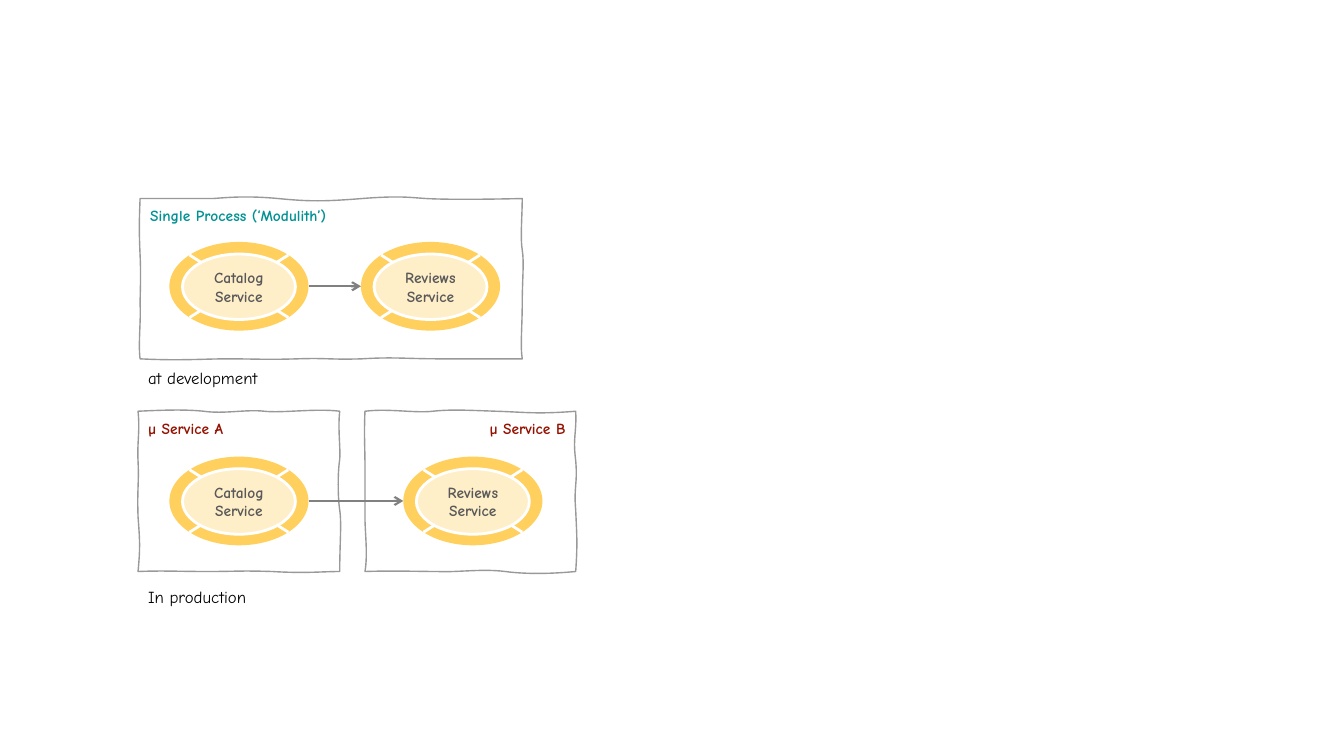
from lxml.etree import SubElement
from pptx import Presentation
from pptx.dml.color import RGBColor
from pptx.enum.shapes import MSO_CONNECTOR, MSO_SHAPE
from pptx.enum.text import MSO_ANCHOR, PP_ALIGN
from pptx.oxml.ns import qn
from pptx.util import Emu, Pt

SCALE = 9144
FACE = "Comic Neue"
OVAL_W, OVAL_H = 138, 88

MONO = [
    (0, 0), (26, 0), (57, 0), (72, 0), (87, -1), (105, -3), (137, 0),
    (168, 3), (182, 3), (220, 0), (258, -3), (267, -1), (284, 0),
    (301, 1), (335, 1), (379, 0), (379, 17), (377, 39), (379, 51),
    (381, 63), (379, 82), (379, 104), (379, 127), (377, 146), (379, 159),
    (342, 159), (337, 159), (300, 159), (262, 159), (252, 157), (220, 159),
    (188, 160), (186, 158), (156, 159), (125, 160), (112, 159), (87, 159),
    (63, 159), (40, 161), (0, 159), (-2, 145), (1, 118), (0, 106),
    (0, 94), (1, 78), (0, 56), (-1, 34), (-1, 24), (0, 0)]
LEFT = [
    (0, 0), (23, -1), (45, -2), (65, 0), (85, 3), (107, -2), (125, 0),
    (143, 2), (176, -3), (200, 0), (198, 18), (201, 37), (200, 48),
    (198, 60), (198, 85), (200, 98), (202, 111), (200, 132), (200, 159),
    (183, 159), (166, 161), (133, 159), (100, 158), (98, 159), (69, 159),
    (40, 159), (25, 158), (0, 159), (2, 137), (2, 131), (0, 105),
    (-1, 78), (1, 71), (0, 50), (-1, 29), (2, 21), (0, 0)]
RIGHT = [
    (0, 0), (23, -3), (49, 2), (67, 0), (86, -2), (100, -1), (131, 0),
    (161, 1), (170, 3), (209, 0), (210, 23), (206, 25), (209, 49),
    (211, 72), (207, 75), (209, 98), (210, 122), (211, 130), (209, 159),
    (188, 161), (162, 162), (139, 159), (116, 156), (91, 160), (72, 159),
    (52, 159), (28, 158), (0, 159), (3, 142), (0, 120), (0, 105),
    (0, 89), (0, 62), (0, 50), (0, 38), (-1, 23), (0, 0)]


def px(n):
    return Emu(n * SCALE)


def tint(code):
    return RGBColor.from_string(code)


def write(shape, text, size, color, bold=False, align=PP_ALIGN.LEFT, **form):
    frame = shape.text_frame
    for key, val in form.items():
        setattr(frame, key, val)
    line = frame.paragraphs[0]
    line.alignment = align
    run = line.add_run()
    run.text = text
    for key, val in {"name": FACE, "size": Pt(size), "bold": bold}.items():
        setattr(run.font, key, val)
    run.font.color.rgb = tint(color)


def stroke(shape, color, width):
    shape.line.color.rgb = tint(color)
    shape.line.width = Pt(width)


def draw_line(shapes, x1, y1, x2, y2, color, width):
    link = shapes.add_connector(MSO_CONNECTOR.STRAIGHT, px(x1), px(y1), px(x2), px(y2))
    stroke(link, color, width)
    SubElement(link._element.spPr, qn("a:effectLst"))
    return link


def draw_arrow(shapes, x1, x2, y):
    link = draw_line(shapes, x1, y, x2, y, "808080", 1.5)
    SubElement(link.line._get_or_add_ln(), qn("a:tailEnd"), type="arrow")


def draw_oval(shapes, x, y, w, h, fill):
    oval = shapes.add_shape(MSO_SHAPE.OVAL, px(x), px(y), px(w), px(h))
    oval.shadow.inherit = False
    oval.fill.solid()
    oval.fill.fore_color.rgb = tint(fill)
    oval.line.fill.background()
    return oval


def draw_service(slide, x, y, text):
    shapes = slide.shapes.add_group_shape().shapes
    draw_oval(shapes, x, y, OVAL_W, OVAL_H, "FFD05D")
    for top, base in ((13, 75), (75, 13)):
        draw_line(shapes, x + 20, y + top, x + OVAL_W - 20, y + base, "FFFFFF", 2)
    core = draw_oval(shapes, x + 13, y + 12, OVAL_W - 26, 65, "FFEFC9")
    stroke(core, "FFFFFF", 2)
    write(core, text, 11, "595959", True, PP_ALIGN.CENTER, word_wrap=True,
          vertical_anchor=MSO_ANCHOR.MIDDLE, margin_left=px(8), margin_right=px(8),
          margin_top=px(8), margin_bottom=px(8))


def draw_frame(slide, x, y, nodes, title, color, align=PP_ALIGN.LEFT):
    spots = [(px(x + dx), px(y + dy)) for dx, dy in nodes]
    pen = slide.shapes.build_freeform(*spots[0], scale=1.0)
    frame = pen.add_line_segments(spots[1:], close=True).convert_to_shape()
    trace = frame._element.find(".//" + qn("a:path"))
    steps = trace.findall(qn("a:lnTo"))
    for i in range(0, len(steps) // 3 * 3, 3):
        curve = trace.makeelement(qn("a:cubicBezTo"))
        steps[i].addprevious(curve)
        for step in steps[i:i + 3]:
            curve.append(step[0])
            trace.remove(step)
    frame.shadow.inherit = False
    frame.fill.background()
    stroke(frame, "999999", 1)
    wide = max(dx for dx, _ in nodes if (dx, 0) in nodes)
    write(frame, title, 11, color, True, align, word_wrap=True,
          vertical_anchor=MSO_ANCHOR.TOP,
          margin_left=px(x + 10) - frame.left,
          margin_right=frame.left + frame.width - px(x + wide - 10),
          margin_top=px(y + 8) - frame.top)


def draw_label(slide, x, y, w, text):
    box = slide.shapes.add_textbox(px(x), px(y), px(w), px(30))
    write(box, text, 12, "000000", word_wrap=False)


def draw_stage(slide, x, y, gap, note, drop, w):
    mid = y + OVAL_H // 2
    draw_arrow(slide.shapes, x + OVAL_W, x + OVAL_W + gap, mid)
    draw_service(slide, x, y, "Catalog Service")
    draw_service(slide, x + OVAL_W + gap, y, "Reviews Service")
    draw_label(slide, x - 31, y + drop, w, note)


def main():
    deck = Presentation()
    deck.slide_width, deck.slide_height = px(1333), px(750)
    slide = deck.slides.add_slide(deck.slide_layouts[6])
    draw_frame(slide, 139, 197, MONO, "Single Process (‘Modulith’)", "009193")
    draw_stage(slide, 168, 240, 52, "at development", 120, 135)
    draw_frame(slide, 137, 408, LEFT, "µ Service A", "941100")
    draw_frame(slide, 362, 408, RIGHT, "µ Service B", "941100", PP_ALIGN.RIGHT)
    draw_stage(slide, 168, 453, 94, "In production", 124, 122)
    deck.save("out.pptx")


if __name__ == "__main__":
    main()
